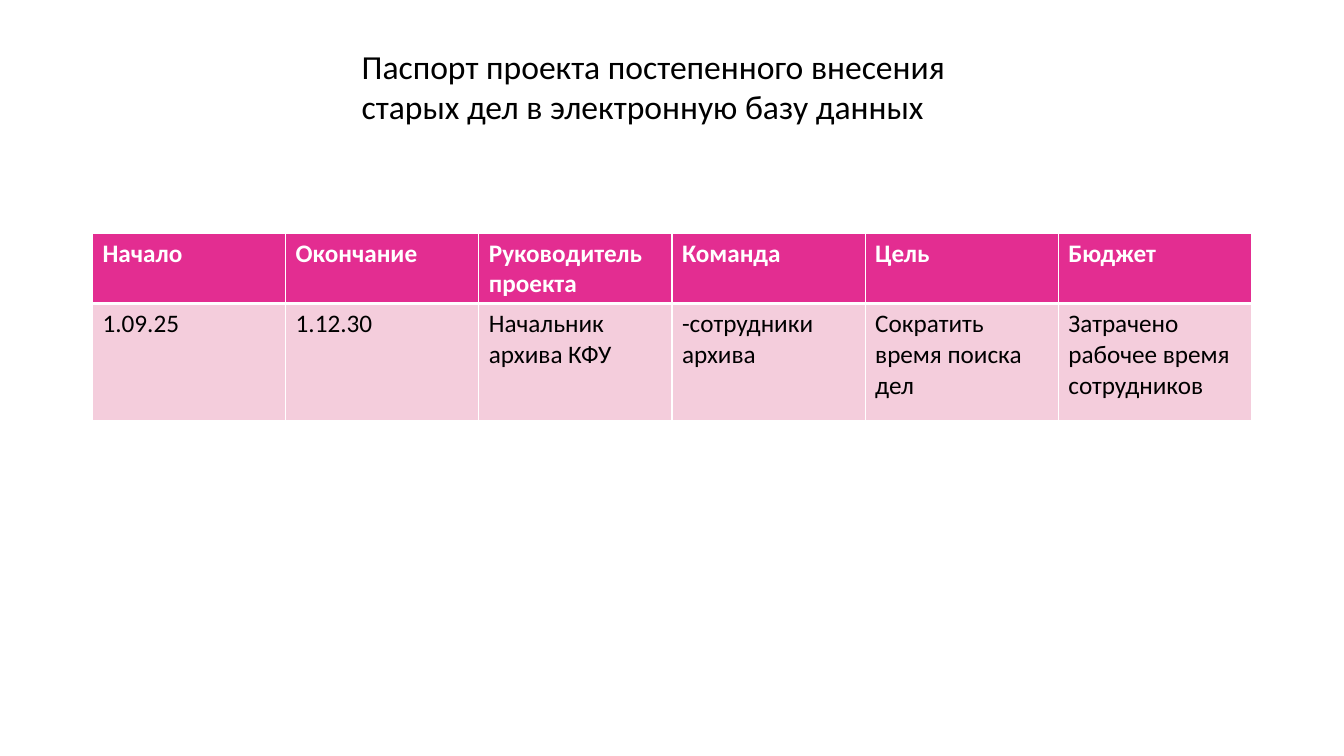
from lxml import etree
from pptx import Presentation
from pptx.dml.color import RGBColor
from pptx.enum.text import MSO_ANCHOR, MSO_AUTO_SIZE, PP_ALIGN
from pptx.oxml.ns import qn
from pptx.util import Cm, Pt

TITLE = "Паспорт проекта постепенного внесения старых дел в электронную базу данных"
PASSPORT = [
    ("Начало", "1.09.25"),
    ("Окончание", "1.12.30"),
    ("Руководитель проекта", "Начальник архива КФУ"),
    ("Команда", "-сотрудники архива"),
    ("Цель", "Сократить время поиска дел"),
    ("Бюджет", "Затрачено рабочее время сотрудников"),
]

FONT = "Calibri"
BLACK = RGBColor(0x00, 0x00, 0x00)
WHITE = RGBColor(0xFF, 0xFF, 0xFF)
PINK = RGBColor(0xE3, 0x2D, 0x91)
PALE_PINK = RGBColor(0xF4, 0xCD, 0xDC)
LEFT = PP_ALIGN.LEFT
TOP = MSO_ANCHOR.TOP
FIT_SHAPE = MSO_AUTO_SIZE.SHAPE_TO_FIT_TEXT

TITLE_ONLY_LAYOUT = 5
TABLE_LEFT, TABLE_TOP, TABLE_WIDTH = Cm(2.33), Cm(5.87), Cm(29.21)
ROW_HEIGHTS = (Cm(1.78), Cm(2.95))


def write_text(text_frame, text, size=18, color=BLACK, bold=False):
    text_frame.text = text
    text_frame.word_wrap = True
    paragraph = text_frame.paragraphs[0]
    paragraph.alignment = LEFT
    font = paragraph.runs[0].font
    font.name, font.size, font.bold = FONT, Pt(size), bold
    font.color.rgb = color


def set_borders(cell, top, bottom, side=1):
    """Draw white cell borders with widths in points."""
    properties = cell._tc.get_or_add_tcPr()
    widths = {"a:lnL": side, "a:lnR": side, "a:lnT": top, "a:lnB": bottom}
    for position, (tag, width) in enumerate(widths.items()):
        line = etree.Element(qn(tag), w=str(Pt(width)))
        fill = etree.SubElement(line, qn("a:solidFill"))
        etree.SubElement(fill, qn("a:srgbClr"), val=str(WHITE))
        properties.insert(position, line)


def add_title(slide):
    title = slide.shapes.title
    title.left, title.top = Cm(8.86), Cm(1.02)
    title.width, title.height = Cm(16.94), Cm(2.31)
    write_text(title.text_frame, TITLE, size=24)
    title.text_frame.vertical_anchor = TOP
    title.text_frame.auto_size = FIT_SHAPE


def add_passport_table(slide):
    table = slide.shapes.add_table(
        len(ROW_HEIGHTS), len(PASSPORT), TABLE_LEFT, TABLE_TOP,
        TABLE_WIDTH, sum(ROW_HEIGHTS),
    ).table
    for row, height in zip(table.rows, ROW_HEIGHTS):
        row.height = height
    for column, entry in enumerate(PASSPORT):
        for row, text in enumerate(entry):
            is_header = row == 0
            cell = table.cell(row, column)
            write_text(cell.text_frame, text, bold=is_header,
                       color=WHITE if is_header else BLACK)
            cell.fill.solid()
            cell.fill.fore_color.rgb = PINK if is_header else PALE_PINK
            set_borders(cell, top=1 if is_header else 3,
                        bottom=3 if is_header else 1)


def main():
    presentation = Presentation()
    presentation.slide_width, presentation.slide_height = Cm(33.87), Cm(19.05)
    layout = presentation.slide_layouts[TITLE_ONLY_LAYOUT]
    slide = presentation.slides.add_slide(layout)
    add_title(slide)
    add_passport_table(slide)
    presentation.save("out.pptx")


if __name__ == "__main__":
    main()
